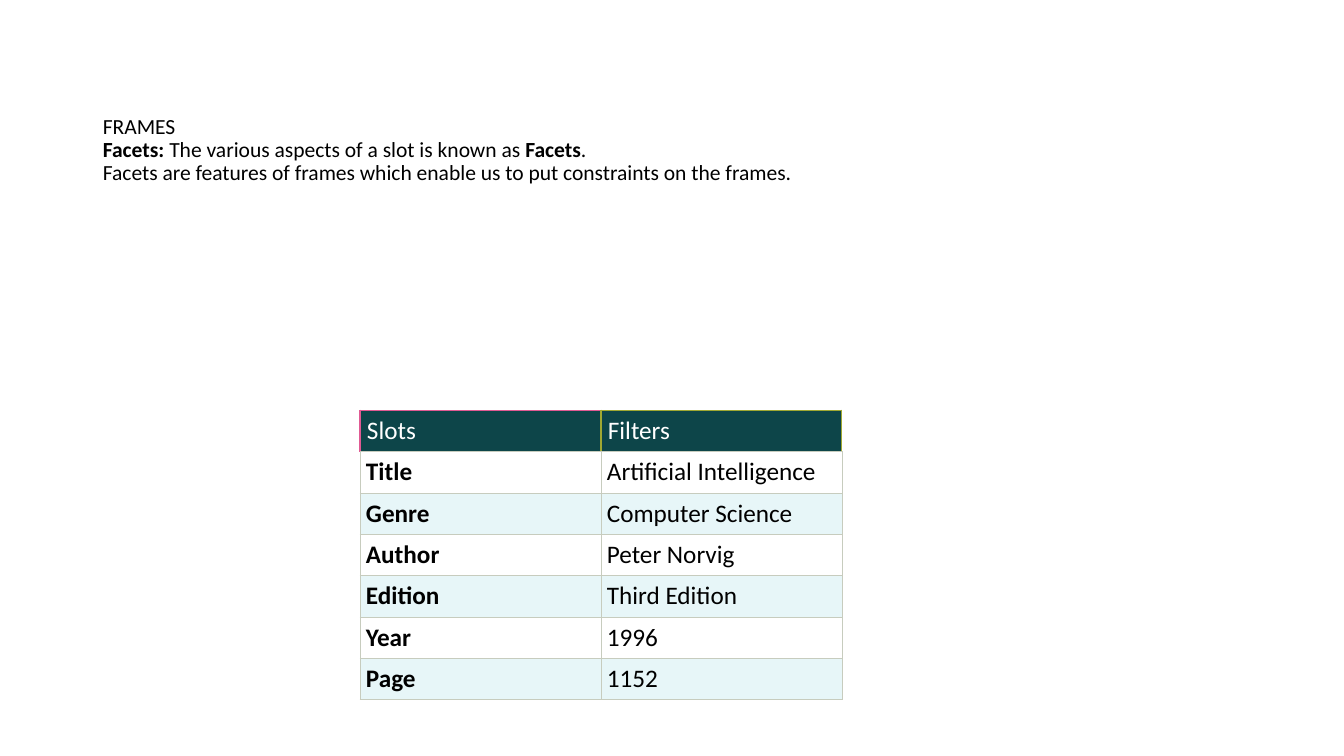
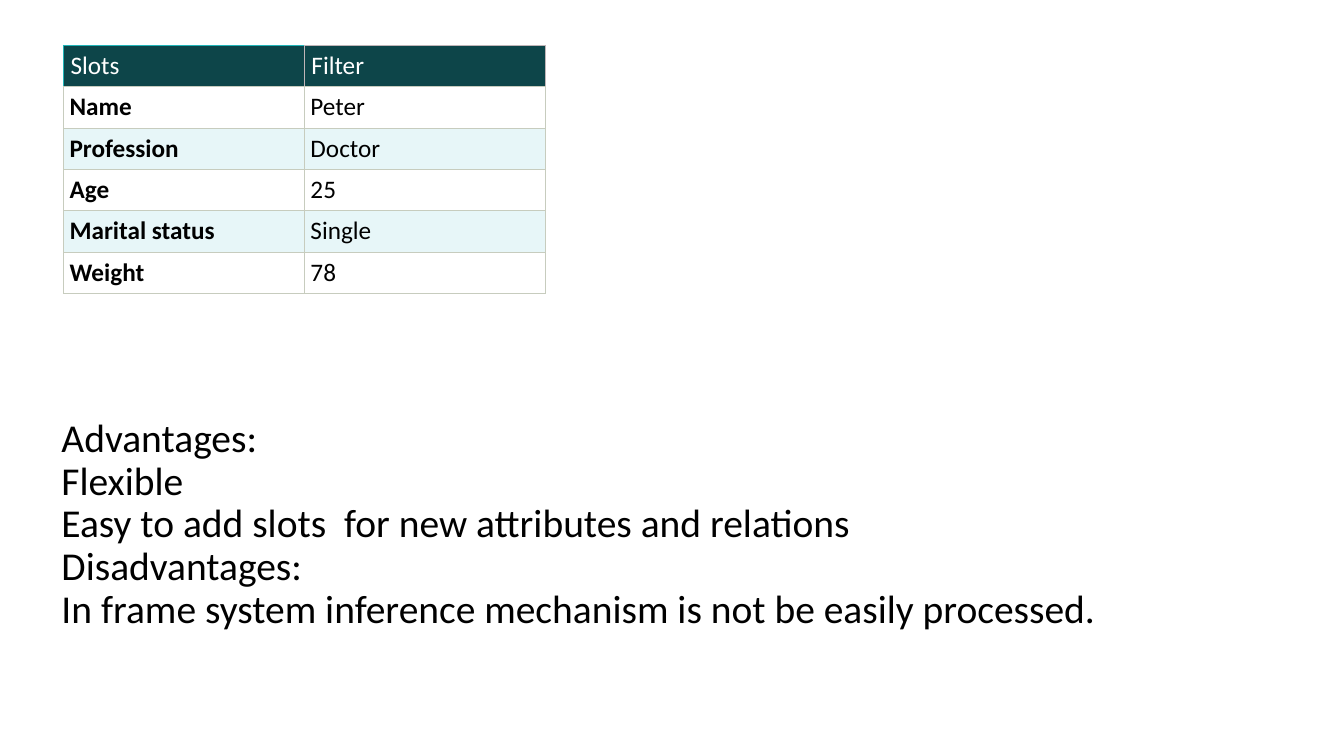
"""Build two slides about frames, each with a text title and a table of slots."""
from dataclasses import dataclass

from lxml import etree
from pptx import Presentation
from pptx.dml.color import RGBColor
from pptx.enum.text import MSO_ANCHOR as Anchor, MSO_AUTO_SIZE as AutoSize, PP_ALIGN as Align
from pptx.oxml.ns import qn
from pptx.util import Inches, Pt


@dataclass(frozen=True)
class Theme:
    font: str = "Calibri"
    text: str = "000000"
    header_text: str = "FFFFFF"
    header_fill: str = "0D4549"
    band_fills: tuple = ("FFFFFF", "E7F6F8")
    border: str = "C7CCBE"
    border_width: float = 0.5
    header_border_width: float = 0.96
    table_size: float = 18
    line_spacing: float = 0.9


THEME = Theme()
TITLE_ONLY = 5
COLUMN_WIDTH, ROW_HEIGHT = 2.39, 0.41
HEADER_INSET, BODY_INSET = 0.07, 0.06

SLIDES = [
    {
        "title": {
            "box": (0.92, 0.4, 11.2, 1.49), "anchor": Anchor.BOTTOM, "top_inset": 0.05, "size": 15.4,
            "lines": [
                [("FRAMES", False)],
                [("Facets:", True), (" The various aspects of a slot is known as ", False),
                 ("Facets", True), (".", False)],
                [("Facets are features of frames which enable us to put constraints on the frames.", False)],
            ],
        },
        "table": {
            "at": (3.57, 4.07), "edges": ("E05A93", "A0A832"),
            "rows": [
                ("Slots", "Filters"),
                ("Title", "Artificial Intelligence"),
                ("Genre", "Computer Science"),
                ("Author", "Peter Norvig"),
                ("Edition", "Third Edition"),
                ("Year", "1996"),
                ("Page", "1152"),
            ],
        },
    },
    {
        "title": {
            "box": (0.51, 3.87, 11.5, 3.56), "anchor": Anchor.TOP, "top_inset": 0.28, "size": 28.2,
            "lines": [
                [("Advantages:", False)],
                [("Flexible", False)],
                [("Easy to add slots  for new attributes and relations", False)],
                [("Disadvantages:", False)],
                [("In frame system inference mechanism is not be easily processed.", False)],
            ],
        },
        "table": {
            "at": (0.63, 0.45), "edges": ("20B4B8", "C0B5B8"),
            "rows": [
                ("Slots", "Filter"),
                ("Name", "Peter"),
                ("Profession", "Doctor"),
                ("Age", "25"),
                ("Marital status", "Single"),
                ("Weight", "78"),
            ],
        },
    },
]


def format_font(font, size, color, bold):
    font.name = THEME.font
    font.size = Pt(size)
    font.bold = bold
    font.color.rgb = RGBColor.from_string(color)


def fill_title(title, content):
    title.left, title.top, title.width, title.height = map(Inches, content["box"])
    frame = title.text_frame
    frame.word_wrap = True
    frame.auto_size = AutoSize.NONE
    frame.vertical_anchor = content["anchor"]
    frame.margin_top = Inches(content["top_inset"])
    for index, line in enumerate(content["lines"]):
        para = frame.add_paragraph() if index else frame.paragraphs[0]
        para.alignment = Align.LEFT
        para.line_spacing = THEME.line_spacing
        para.space_before = para.space_after = Pt(0)
        for text, bold in line:
            span = para.add_run()
            span.text = text
            format_font(span.font, content["size"], THEME.text, bold)


def set_borders(cell, borders):
    properties = cell._tc.get_or_add_tcPr()
    for side in "LRTB":
        color, width = borders[side]
        line = etree.SubElement(properties, qn(f"a:ln{side}"), w=str(Pt(width)))
        fill = etree.SubElement(line, qn("a:solidFill"))
        etree.SubElement(fill, qn("a:srgbClr"), val=color)


def format_cell(cell, row, column, edges):
    header = row == 0
    borders = dict.fromkeys("LRTB", (THEME.border, THEME.border_width))
    if header:
        borders.update(dict.fromkeys("LT", (edges[column], THEME.header_border_width)))
        borders["R"] = (edges[1], THEME.header_border_width)
    set_borders(cell, borders)
    cell.fill.solid()
    fill = THEME.header_fill if header else THEME.band_fills[(row - 1) % 2]
    cell.fill.fore_color.rgb = RGBColor.from_string(fill)
    cell.margin_left = cell.margin_right = Inches(HEADER_INSET if header else BODY_INSET)
    cell.vertical_anchor = Anchor.TOP if header else Anchor.MIDDLE
    color = THEME.header_text if header else THEME.text
    font = cell.text_frame.paragraphs[0].runs[0].font
    format_font(font, THEME.table_size, color, not header and column == 0)


def add_slot_table(page, content):
    rows = content["rows"]
    left, top = content["at"]
    columns = len(rows[0])
    table = page.shapes.add_table(
        len(rows), columns, Inches(left), Inches(top),
        Inches(columns * COLUMN_WIDTH), Inches(len(rows) * ROW_HEIGHT)).table
    table.first_row = table.horz_banding = False
    for row, texts in enumerate(rows):
        for column, text in enumerate(texts):
            cell = table.cell(row, column)
            cell.text_frame.text = text
            format_cell(cell, row, column, content["edges"])


def main():
    deck = Presentation()
    deck.slide_width, deck.slide_height = Inches(13.33), Inches(7.5)
    for content in SLIDES:
        page = deck.slides.add_slide(deck.slide_layouts[TITLE_ONLY])
        fill_title(page.shapes.title, content["title"])
        add_slot_table(page, content["table"])
    deck.save("out.pptx")


if __name__ == "__main__":
    main()
